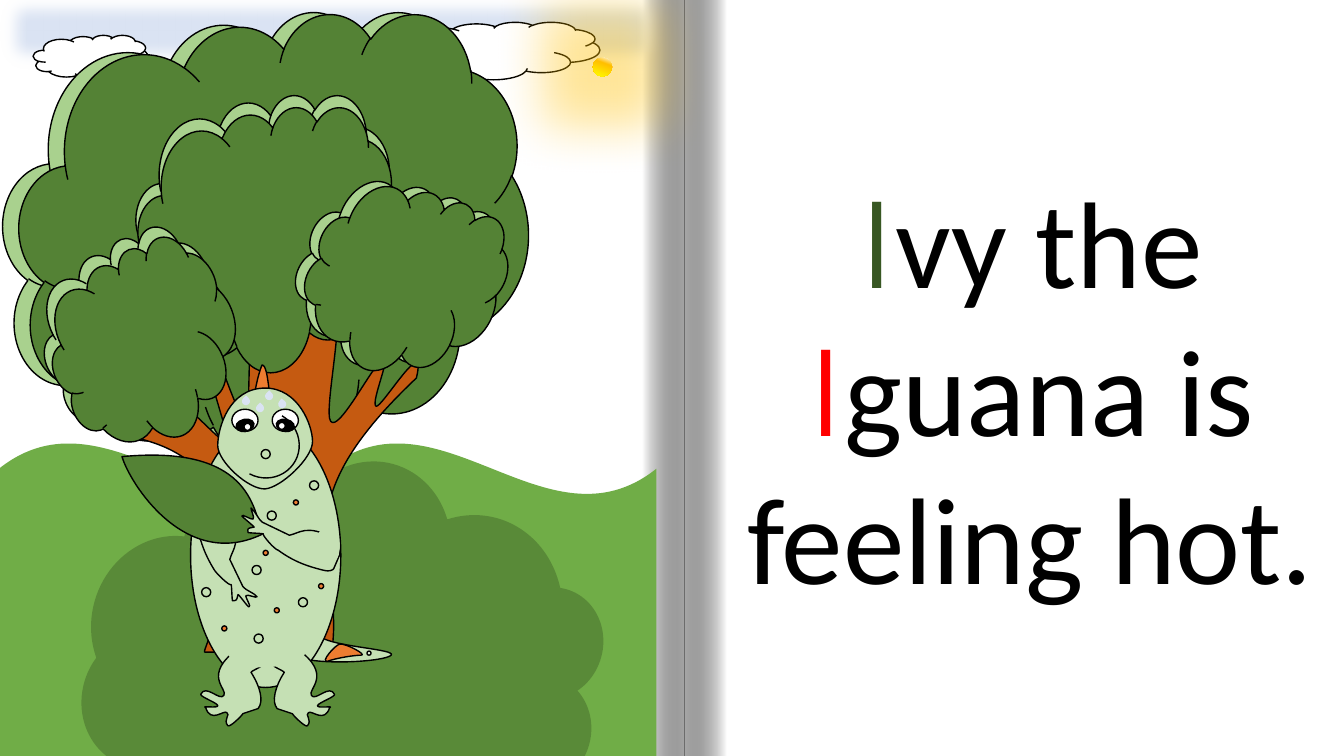
import math

from lxml import etree
from pptx import Presentation
from pptx.dml.color import RGBColor
from pptx.enum import shapes as kinds, text
from pptx.oxml.ns import qn
from pptx.util import Emu, Inches, Pt

KIND = kinds.MSO_SHAPE
BLACK, WHITE = "000000", "FFFFFF"
LIGHT_LEAF, DARK_LEAF, BARK = "A9D18E", "548235", "C55A11"
SKIN, ORANGE, PALE_BLUE = "C5E0B4", "ED7D31", "DAE3F3"

# Outlines: two numbers are a straight step to a point, six a Bézier step.
TRUNK = """2.49 2.92, 3.29 2.92, 3.46 2.98 3.2 4.08 3.28 4.18, 3.36 4.29 3.68 3.65 3.79 3.57,
3.9 3.48 3.67 4 3.73 4.03, 3.78 4.06 4.24 3.28 4.13 3.75, 2.71 5.09 3.43 5.51 3.29 6.47,
2.03 6.47, 1.96 6.53 2.91 4.68 1.33 4.34, 1.25 3.92 1.43 3.97 1.55 3.98,
1.59 3.63 2.3 4.57 2.26 4.36, 2.22 4.16 1.94 3.34 2.02 3.36, 2.12 3.26 2.36 4.25 2.46 4.16,
2.49 2.92"""
HOLLOW = "2.54 4.81, 2.67 4.52 2.79 4.26 2.92 4.39, 2.97 4.72 2.88 4.83 2.86 5.05, 2.7 5.15 2.65 5.04 2.54 4.81"
CREST = "2.76 4.46, 2.34 4.44 2.57 3.67 2.6 3.62, 2.68 3.63 2.65 4.08 2.77 4.2, 2.8 4.34 3.18 4.48 2.76 4.46"
TAIL = """3.29 5.86, 2.72 5.31, 2.68 5.34, 2.64 5.36 2.6 5.39 2.57 5.42, 2.34 5.64 2.38 5.96 2.44 6.11,
2.51 6.27 2.74 6.47 2.99 6.53, 3.24 6.6 3.82 6.56 3.88 6.5, 3.93 6.44 3.33 6.42 3.18 6.32,
3.03 6.24 2.85 6.15 2.81 6.08, 2.76 6 2.82 5.9 2.9 5.87, 2.96 5.85 3.09 5.86 3.24 5.86, 3.29 5.86"""
LEFT_FOOT = """2.37 6.43, 2.43 6.43, 2.6 6.59, 2.62 6.61 2.5 6.65 2.49 6.67, 2.58 6.81 2.62 6.96 2.56 7.03,
2.41 7.08, 2.4 7.1 2.28 7.22 2.26 7.2, 2.21 7.14 2.29 7.09 2.25 7.07, 2.22 7.04 2.09 7.18 2.04 7.02,
1.99 7 2.17 7.03 2.16 7, 2.15 6.97 2 6.92 1.99 6.89, 2.04 6.78 2.18 6.96 2.22 6.9,
2.27 6.84 1.99 6.7 2.37 6.43"""
HEAD = """3.1 4.38, 3.1 4.55 2.78 4.84 2.63 4.85, 2.47 4.86 2.16 4.58 2.16 4.42,
2.16 4.25 2.27 3.85 2.63 3.85, 2.96 3.85 3.1 4.22 3.1 4.38"""
LEFT_ARM = """2.28 5.13, 2.26 5.09 2.13 5.03 2.11 5.04, 1.97 5.09, 1.94 5.1 1.93 5.15 1.95 5.18,
1.98 5.36 2.03 5.5 2.13 5.66, 2.15 5.69 2.27 5.81 2.29 5.8, 2.3 5.77 2.3 5.99 2.31 5.96,
2.35 5.96 2.35 5.95 2.36 5.9, 2.36 5.88 2.47 6.04 2.47 6.02, 2.5 6.03 2.43 5.92 2.44 5.91,
2.45 5.89 2.55 5.94 2.55 5.92, 2.52 5.88 2.44 5.86 2.41 5.82, 2.28 5.55, 2.31 5.44 2.4 5.38 2.28 5.13"""
RIGHT_ARM = """3.29 5.33, 3.32 5.34 3.38 5.48 3.37 5.5, 3.31 5.64, 3.3 5.66 3.26 5.67 3.22 5.66,
3.05 5.62 2.91 5.57 2.76 5.46, 2.72 5.45 2.61 5.32 2.61 5.3, 2.64 5.29 2.43 5.29 2.46 5.28,
2.45 5.24 2.46 5.24 2.52 5.23, 2.53 5.23 2.38 5.11 2.4 5.12, 2.39 5.09 2.49 5.16 2.51 5.15,
2.53 5.14 2.48 5.04 2.49 5.04, 2.53 5.07 2.56 5.15 2.6 5.18, 2.87 5.31, 2.97 5.29 3.04 5.2 3.29 5.33"""
TAIL_PATCH = "3.25 6.56, 3.17 6.58 3.32 6.4 3.37 6.39, 3.43 6.38 3.65 6.5 3.58 6.5, 3.51 6.5 3.33 6.53 3.25 6.56"
FAN_LEAF = "1.21 4.53, 2.47 4.41 2.52 5.04 2.6 5.3, 1.83 5.67 1.28 4.78 1.21 4.53"

SCALES = [(2.17, 4.85), (2.65, 5.07), (2.5, 5.61), (2, 5.83), (2.52, 6.29), (2.96, 5.93), (3.07, 4.77)]
FRECKLES = [(2.91, 4.96), (2.16, 4.69), (2.61, 5.46), (2.72, 6.03), (2.2, 6.21), (3.16, 5.79)]
SWEAT_DROPS = [(2.76, 3.97, 37.4), (2.54, 4.01, 46.1), (2.63, 3.89, 46.1), (2.4, 3.94, 46.1)]


def rgb(value):
    return RGBColor.from_string(value)


def add_colour(parent, value, alpha=100):
    colour = etree.SubElement(parent, qn("a:srgbClr"), val=value)
    if alpha < 100:
        etree.SubElement(colour, qn("a:alpha"), val=str(alpha * 1000))


def paint(shape, fill=None, line=None):
    shape.shadow.inherit = False
    if fill:
        shape.fill.solid()
        shape.fill.fore_color.rgb = rgb(fill)
    else:
        shape.fill.background()
    if line:
        shape.line.color.rgb = rgb(line)
        shape.line.width = Pt(1)
    else:
        shape.line.fill.background()


def add_preset(parent, kind, box, fill=None, line=None, rotation=0, flip=False):
    shape = parent.add_shape(kind, *map(Inches, box))
    paint(shape, fill, line)
    shape.rotation = rotation
    if flip:
        shape._element.spPr.xfrm.set("flipH", "1")
    return shape


def set_gradient(shape, stops, angle):
    properties = shape._element.spPr
    gradient = etree.Element(qn("a:gradFill"), rotWithShape="1")
    stop_list = etree.SubElement(gradient, qn("a:gsLst"))
    for position, *colour in stops:
        stop = etree.SubElement(stop_list, qn("a:gs"), pos=str(position * 1000))
        add_colour(stop, *colour)
    etree.SubElement(gradient, qn("a:lin"), ang=str(angle * 60000), scaled="0")
    properties.replace(properties.find(qn("a:solidFill")), gradient)


def add_effect(shape, tag, radius):
    effects = shape._element.spPr.find(qn("a:effectLst"))
    return etree.SubElement(effects, qn(tag), rad=str(Pt(radius)))


def read_outline(outline):
    """Turn an outline into steps of one point (line) or three (curve)."""
    rows = [list(map(float, step.split())) for step in outline.split(",")]
    return [list(zip(row[::2], row[1::2])) for row in rows]


def turn(x, y, degrees):
    cosine, sine = math.cos(math.radians(degrees)), math.sin(math.radians(degrees))
    return x * cosine - y * sine, x * sine + y * cosine


def bend_curves(shape, steps):
    """Join each three line points that belong to one step into a Bézier curve."""
    lines = iter(list(shape._element.iter(qn("a:lnTo"))))
    for step in steps[1:]:
        first, *others = [next(lines) for _ in step]
        if others:
            curve = etree.Element(qn("a:cubicBezTo"))
            first.getparent().replace(first, curve)
            curve.append(first[0])
            for line in others:
                curve.append(line[0])
                line.getparent().remove(line)


def add_outline(parent, steps, fill=None, rotation=0):
    """Draw steps as a shape whose own axes are turned by rotation."""
    upright = [turn(Inches(x), Inches(y), -rotation) for step in steps for x, y in step]
    builder = parent.build_freeform(*upright[0])
    builder.add_line_segments(upright[1:], close=True)
    shape = builder.convert_to_shape()
    bend_curves(shape, steps)
    paint(shape, fill, BLACK)
    centre = turn(shape.left + shape.width / 2, shape.top + shape.height / 2, rotation)
    shape.left = Emu(round(centre[0] - shape.width / 2))
    shape.top = Emu(round(centre[1] - shape.height / 2))
    shape.rotation = rotation


def add_book(parent):
    add_preset(parent, KIND.RECTANGLE, (0, 0, 13.33, 7.5), WHITE)
    for left, flip in ((6.79, False), (6.37, True)):
        page_fold = add_preset(parent, KIND.RECTANGLE, (left, 0, 0.42, 7.5), WHITE, flip=flip)
        set_gradient(page_fold, [(0, WHITE), (100, BLACK, 34)], 180)


def add_sentence(parent):
    box = parent.add_textbox(*map(Inches, (7.08, 1.59, 6.28, 4.54)))
    frame = box.text_frame
    frame.word_wrap = True
    frame.auto_size = text.MSO_AUTO_SIZE.SHAPE_TO_FIT_TEXT
    paragraph = frame.paragraphs[0]
    paragraph.alignment = text.PP_ALIGN.CENTER
    for words, font, colour in (("I", "Montserrat", "385723"), ("vy the ", "Calibri", BLACK),
                                ("I", "Montserrat", "FF0000"), ("guana is feeling hot.", "Calibri", BLACK)):
        run = paragraph.add_run()
        run.text = words
        run.font.name, run.font.size = font, Pt(88)
        run.font.color.rgb = rgb(colour)


def add_scenery(parent):
    sky = add_preset(parent, KIND.RECTANGLE, (-0.05, -0.12, 6.67, 0.85), PALE_BLUE, PALE_BLUE)
    add_effect(sky, "a:softEdge", 12.5)
    for box in ((0.33, 0.35, 1.14, 0.44), (3.79, 0.22, 2.16, 0.57)):
        add_preset(parent, KIND.CLOUD, box, WHITE, BLACK)
    add_preset(parent, KIND.DOUBLE_WAVE, (-0.01, 4.39, 6.52, 4.16), "70AD47")
    sun = add_preset(parent, KIND.OVAL, (5.88, 0.57, 0.19, 0.19), WHITE)
    set_gradient(sun, [(0, WHITE), (34, "FFC000"), (100, "FFFF00")], 110)
    add_colour(add_effect(sun, "a:glow", 72), "FFC000", 40)
    shade = add_preset(parent, KIND.CLOUD, (0.86, 4.56, 5.1, 4.08), BLACK, rotation=195.4)
    colour = shade._element.spPr.find(qn("a:solidFill"))[0]
    etree.SubElement(colour, qn("a:alpha"), val="20000")


def add_tree(parent):
    def foliage(left, top, width, height, fill, rotation=0):
        add_preset(parent, KIND.CLOUD, (left, top, width, height), fill, BLACK, rotation)

    foliage(0.03, 0.11, 5.05, 4.52, LIGHT_LEAF)
    foliage(0.19, 0.13, 5.05, 4.52, DARK_LEAF)
    add_outline(parent, read_outline(TRUNK), BARK)
    foliage(1.35, 0.94, 2.57, 2.63, LIGHT_LEAF)
    foliage(1.37, 1.06, 2.57, 2.63, DARK_LEAF)
    foliage(2.99, 1.78, 1.87, 1.91, LIGHT_LEAF, 26.5)
    foliage(0.42, 2.38, 1.87, 1.91, LIGHT_LEAF, 338.5)
    add_outline(parent, read_outline(HOLLOW))
    foliage(3.08, 1.83, 1.87, 1.91, DARK_LEAF, 26.5)
    foliage(0.5, 2.48, 1.87, 1.91, DARK_LEAF, 338.5)


def add_iguana(parent):
    def oval(left, top, width, height, fill=SKIN, line=BLACK, rotation=0):
        add_preset(parent, KIND.OVAL, (left, top, width, height), fill, line, rotation)

    add_outline(parent, read_outline(CREST), ORANGE, 270)
    add_outline(parent, read_outline(TAIL), SKIN, 44)
    oval(1.89, 4.2, 1.49, 2.62)
    left_foot = read_outline(LEFT_FOOT)
    add_outline(parent, left_foot, SKIN, 37)
    add_outline(parent, [[(5.31 - x, y) for x, y in step] for step in left_foot], SKIN, 323)
    add_outline(parent, read_outline(HEAD), SKIN, 270)
    oval(2.51, 6.09, 0.29, 0.77, line=None, rotation=265.7)
    add_outline(parent, read_outline(LEFT_ARM), SKIN, 338.2)
    for left, glint_left, glint_top, tilt in ((2.7, 2.76, 4.19, 280.6), (2.3, 2.42, 4.2, 78.5)):
        oval(left, 4.06, 0.26, 0.22, WHITE)
        oval(left + 0.07, 4.13, 0.12, 0.18, BLACK, rotation=tilt)
        oval(glint_left, glint_top, 0.07, 0.07, WHITE)
    oval(2.59, 4.46, 0.09, 0.09)
    smile = add_preset(parent, KIND.ARC, (2.3, 4.07, 0.66, 0.68), line=BLACK, rotation=118.1)
    smile.adjustments[0], smile.adjustments[1] = 182.209 * 0.6, 0
    add_outline(parent, read_outline(TAIL_PATCH), ORANGE, 336.2)
    oval(3.64, 6.46, 0.04, 0.04, "E2F0D9")
    oval(1.98, 4.95, 0.29, 0.35, rotation=265.7)
    for spots, size, fill in ((SCALES, 0.09, SKIN), (FRECKLES, 0.05, ORANGE)):
        for left, top in spots:
            oval(left, top, size, size, fill)
    add_outline(parent, read_outline(FAN_LEAF), DARK_LEAF, 36.6)
    add_outline(parent, read_outline(RIGHT_ARM), SKIN, 112.9)
    oval(3.14, 5.22, 0.23, 0.38, line=None, rotation=356.2)


def main():
    presentation = Presentation()
    presentation.slide_width, presentation.slide_height = Inches(13.33), Inches(7.5)
    slide = presentation.slides.add_slide(presentation.slide_layouts[6])
    slide.background.fill.solid()
    slide.background.fill.fore_color.rgb = rgb(BLACK)
    add_book(slide.shapes.add_group_shape().shapes)
    add_sentence(slide.shapes)
    add_scenery(slide.shapes)
    add_tree(slide.shapes.add_group_shape().shapes)
    add_iguana(slide.shapes.add_group_shape().shapes)
    for left, top, rotation in SWEAT_DROPS:
        add_preset(slide.shapes, KIND.TEAR, (left, top, 0.08, 0.08), PALE_BLUE, rotation=rotation, flip=True)
    presentation.save("out.pptx")


if __name__ == "__main__":
    main()
